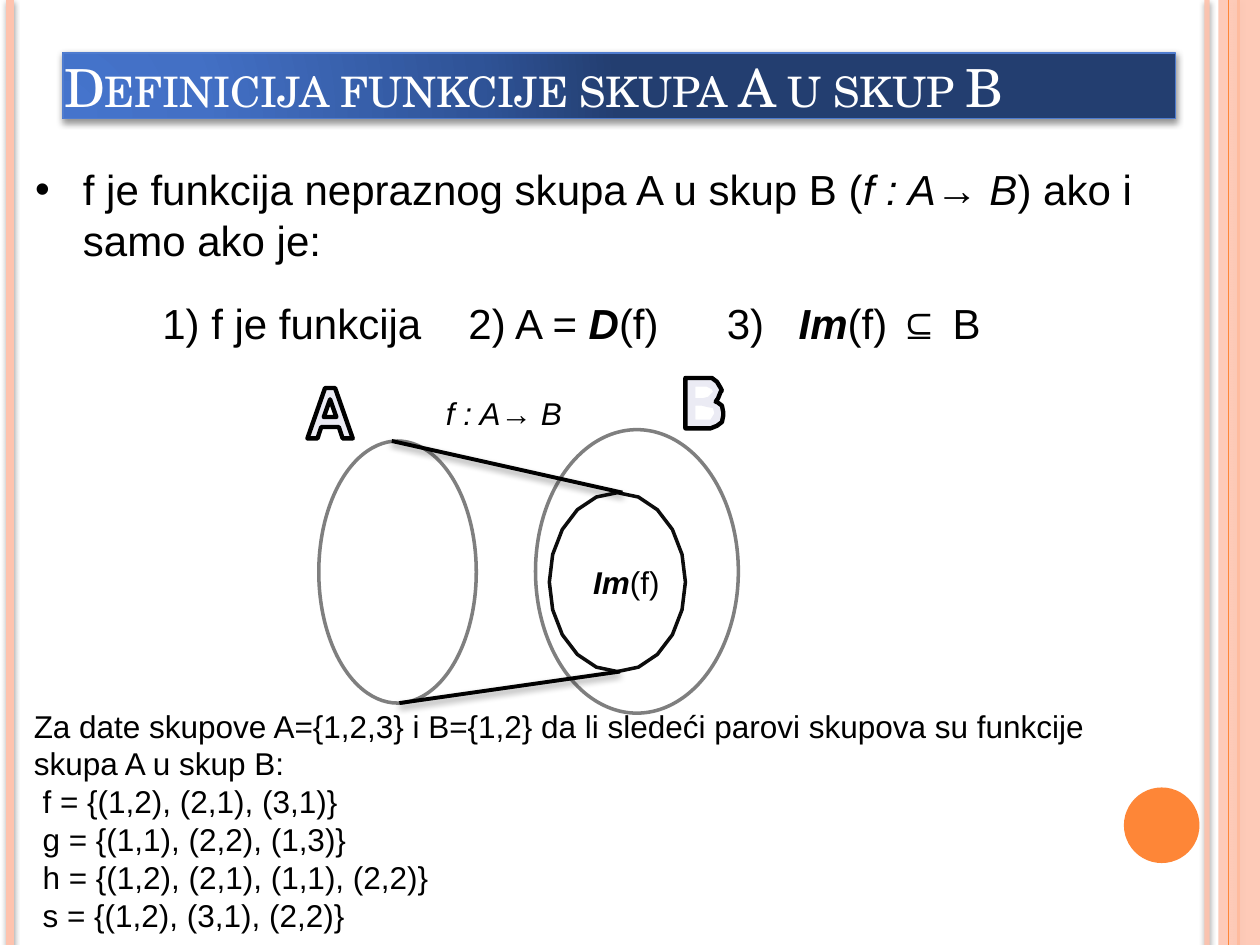
from dataclasses import dataclass
from math import cos, pi, sin

from pptx import Presentation
from pptx.dml.color import RGBColor
from pptx.enum.shapes import MSO_CONNECTOR, MSO_SHAPE
from pptx.enum.text import MSO_ANCHOR, PP_ALIGN
from pptx.oxml import parse_xml
from pptx.oxml.ns import nsdecls
from pptx.util import Inches, Pt


@dataclass(frozen=True)
class Theme:
    peach: str = "FEC3AE"
    orange: str = "FE8637"
    black: str = "000000"
    white: str = "FFFFFF"
    grey: str = "7F7F7F"
    image_line: str = "0D0D0D"
    letter: str = "EBEBF4"
    title_line: str = "4F7CCF"
    title_stops: tuple = ((0, "4574CC"), (25, "4370C5"), (75, "2F5397"), (100, "233E70"))
    title_font: str = "TeX Gyre Schola"
    body_font: str = "Arial"
    title_size: int = 30
    body_size: int = 24
    small_size: int = 18


THEME = Theme()


@dataclass(frozen=True)
class Box:
    left: float
    top: float
    width: float
    height: float

    def inside(self, left, top, width, height):
        return Box(self.left + left, self.top + top, width, height)

    def point(self, x, y):
        return Inches(self.left + x), Inches(self.top + y)

    def lengths(self):
        return [Inches(n) for n in (self.left, self.top, self.width, self.height)]


def set_alpha(properties, percent):
    color = next(properties.iter("{*}srgbClr"))
    color.append(parse_xml(f'<a:alpha {nsdecls("a")} val="{percent * 1000}"/>'))


def set_shadow(shape, distance, percent):
    shape._element.spPr.append(parse_xml(
        f'<a:effectLst {nsdecls("a")}><a:outerShdw blurRad="{Pt(4)}" dist="{Pt(distance)}" '
        f'dir="5400000" rotWithShape="0"><a:srgbClr val="{THEME.black}">'
        f'<a:alpha val="{percent * 1000}"/></a:srgbClr></a:outerShdw></a:effectLst>'))


def paint(shape, fill=None, line=None, width=2):
    shape.shadow.inherit = False
    if fill:
        shape.fill.solid()
        shape.fill.fore_color.rgb = RGBColor.from_string(fill)
    else:
        shape.fill.background()
    if line:
        shape.line.color.rgb = RGBColor.from_string(line)
        shape.line.width = Pt(width)
    else:
        shape.line.fill.background()


def add_preset(slide, preset, box, **colors):
    shape = slide.shapes.add_shape(preset, *box.lengths())
    paint(shape, **colors)
    return shape


def add_line(slide, start, end, color, width):
    line = slide.shapes.add_connector(MSO_CONNECTOR.STRAIGHT, *start, *end)
    line.line.color.rgb = RGBColor.from_string(color)
    line.line.width = Pt(width)
    return line


def add_outline(slide, box, contours, **colors):
    contours = [[box.point(x, y) for x, y in contour] for contour in contours]
    builder = slide.shapes.build_freeform(*contours[0][0])
    for index, contour in enumerate(contours):
        if index:
            builder.move_to(*contour[0])
        builder.add_line_segments(contour[1:], close=True)
    paint(builder.convert_to_shape(), **colors)


def add_run(paragraph, text, size, style="", font=THEME.body_font, color=THEME.black):
    run = paragraph.add_run()
    run.text = text
    run.font.name = font
    run.font.size = Pt(size)
    run.font.bold = "b" in style
    run.font.italic = "i" in style
    run.font.color.rgb = RGBColor.from_string(color)
    return run


def add_text(slide, box, lines, size, wrap=True):
    frame = slide.shapes.add_textbox(*box.lengths()).text_frame
    frame.word_wrap = wrap
    for index, runs in enumerate(lines):
        paragraph = frame.paragraphs[0] if index == 0 else frame.add_paragraph()
        for text, style in runs:
            add_run(paragraph, text, size, style)
    return frame


def add_decoration(slide, box):
    def stripe(x, color, width):
        return add_line(slide, box.point(x, 0), box.point(x, box.height), color, width)

    set_alpha(stripe(9.58, THEME.peach, 3)._element.spPr, 93)
    stripe(0.08, THEME.peach, 4.5)
    stripe(9.83, THEME.orange, 1.5)
    band = add_preset(slide, MSO_SHAPE.RECTANGLE, box.inside(9.67, 0, 0.33, box.height), fill=THEME.peach)
    set_alpha(band._element.spPr, 87)
    stripe(9.75, THEME.orange, 0.75)
    add_preset(slide, MSO_SHAPE.OVAL, box.inside(8.92, 6.25, 0.6, 0.6), fill=THEME.orange)


def add_title(slide, box):
    shape = slide.shapes.add_shape(MSO_SHAPE.RECTANGLE, *box.lengths())
    shape.line.color.rgb = RGBColor.from_string(THEME.title_line)
    shape.line.width = Pt(1)
    stops = "".join(f'<a:gs pos="{position * 1000}"><a:srgbClr val="{color}"/></a:gs>'
                    for position, color in THEME.title_stops)
    shape._element.spPr.insert(2, parse_xml(
        f'<a:gradFill {nsdecls("a")} rotWithShape="1"><a:gsLst>{stops}</a:gsLst><a:path path="circle">'
        '<a:fillToRect l="5000" t="100000" r="120000" b="10000"/></a:path></a:gradFill>'))
    set_shadow(shape, 1.6, 42)
    frame = shape.text_frame
    frame.word_wrap = True
    frame.vertical_anchor = MSO_ANCHOR.BOTTOM
    frame.margin_left = frame.margin_top = Inches(0.01)
    frame.margin_right = frame.margin_bottom = 0
    paragraph = frame.paragraphs[0]
    paragraph.alignment = PP_ALIGN.LEFT
    run = add_run(paragraph, "Definicija funkcije skupa A u skup B", THEME.title_size,
                  font=THEME.title_font, color=THEME.white)
    run.font._element.set("cap", "small")
    run.font._element.set("spc", "-10")


def add_definition(slide, box):
    frame = add_text(slide, box, [
        [("f je funkcija nepraznog skupa A u skup B (", ""), ("f : A→ B", "i"), (") ako i samo ako je:", "")],
        [("\t1) f je funkcija\t2) A = ", ""), ("D", "bi"), ("(f)\t3)\t", ""), ("Im", "bi"), ("(f) ⊆ Β", "")],
    ], THEME.body_size)
    statement, conditions = frame.paragraphs
    properties = statement._p.get_or_add_pPr()
    properties.set("marL", str(Inches(0.39)))
    properties.set("indent", str(Inches(-0.38)))
    properties.append(parse_xml(f'<a:buFont {nsdecls("a")} typeface="{THEME.body_font}"/>'))
    properties.append(parse_xml(f'<a:buChar {nsdecls("a")} char="•"/>'))
    tabs = "".join(f'<a:tab pos="{Inches(x)}" algn="l"/>' for x in (1.02, 3.45, 5.5, 6.07))
    conditions._p.get_or_add_pPr().append(parse_xml(f'<a:tabLst {nsdecls("a")}>{tabs}</a:tabLst>'))
    conditions.space_before = Pt(19.1)


def add_mapping(slide, box):
    add_preset(slide, MSO_SHAPE.OVAL, box.inside(0.09, 0.42, 1.25, 2.08), line=THEME.grey)
    add_preset(slide, MSO_SHAPE.OVAL, box.inside(1.81, 0.33, 1.61, 2.25), line=THEME.grey)
    angles = [step * pi / 10 for step in range(20)]
    image_edge = [(2.46 - 0.54 * cos(angle), 1.54 - 0.71 * sin(angle)) for angle in angles]
    add_outline(slide, box, [image_edge], line=THEME.image_line)
    add_letters(slide, box)
    for start, end in (((0.73, 2.5), (2.48, 2.25)), ((0.67, 0.42), (2.5, 0.83))):
        set_shadow(add_line(slide, box.point(*start), box.point(*end), THEME.black, 2.25), 2, 40)
    add_text(slide, box.inside(2.17, 1.34, 0.73, 0.4), [[("Im", "bi"), ("(f)", "")]], THEME.small_size, wrap=False)
    add_text(slide, box.inside(1, 0, 1.12, 0.4), [[("f : A→ B", "i")]], THEME.small_size, wrap=False)


def add_letters(slide, box):
    a_edge = [(0.14, 0), (0.22, 0), (0.36, 0.4), (0.28, 0.4), (0.25, 0.31), (0.11, 0.31), (0.08, 0.4), (0, 0.4)]
    a_hole = [(0.18, 0.09), (0.13, 0.23), (0.23, 0.23)]
    b_edge = [(0, 0), (0.15, 0), (0.21, 0), (0.25, 0.03), (0.28, 0.08), (0.29, 0.1), (0.28, 0.11),
              (0.26, 0.16), (0.24, 0.19), (0.25, 0.19), (0.29, 0.22), (0.3, 0.27), (0.3, 0.3),
              (0.29, 0.35), (0.25, 0.38), (0.2, 0.4), (0.13, 0.4), (0, 0.4)]
    b_upper = [(0.08, 0.07), (0.17, 0.07), (0.21, 0.09), (0.22, 0.11), (0.18, 0.15), (0.14, 0.16), (0.08, 0.16)]
    b_lower = [(0.08, 0.22), (0.13, 0.22), (0.17, 0.23), (0.22, 0.24), (0.23, 0.28), (0.2, 0.33), (0.08, 0.33)]
    a_box = box.inside(0, 0, 0.36, 0.4)
    b_box = box.inside(3, -0.08, 0.3, 0.4)
    add_outline(slide, a_box, [a_edge, a_hole], fill=THEME.letter, line=THEME.black, width=2.5)
    add_outline(slide, b_box, [b_edge, b_upper, b_lower], fill=THEME.letter)
    add_outline(slide, b_box, [b_edge], line=THEME.black, width=2.5)


def add_exercise(slide, box):
    question = ("Za date skupove A={1,2,3} i B={1,2} da li sledeći parovi skupova su funkcije", "skupa A u skup B:")
    relations = ("f = {(1,2), (2,1), (3,1)}", "g = {(1,1), (2,2), (1,3)}",
                 "h = {(1,2), (2,1), (1,1), (2,2)}", "s = {(1,2), (3,1), (2,2)}")
    frame = add_text(slide, box, [[(text, "")] for text in question + relations], THEME.small_size)
    for paragraph in frame.paragraphs:
        paragraph.line_spacing = Pt(21.6)
    for paragraph in frame.paragraphs[len(question):]:
        paragraph._p.get_or_add_pPr().set("marL", str(Inches(0.07)))


def main():
    presentation = Presentation()
    presentation.slide_width, presentation.slide_height = Inches(10), Inches(7.5)
    slide = presentation.slides.add_slide(presentation.slide_layouts[6])
    add_decoration(slide, Box(0, 0, 10, 7.5))
    add_definition(slide, Box(0.17, 1.25, 9.5, 1.58))
    add_title(slide, Box(0.5, 0.42, 8.83, 0.52))
    add_mapping(slide, Box(2.44, 3.08, 3.42, 2.5))
    add_exercise(slide, Box(0.17, 5.56, 9.5, 1.94))
    presentation.save("out.pptx")


if __name__ == "__main__":
    main()
